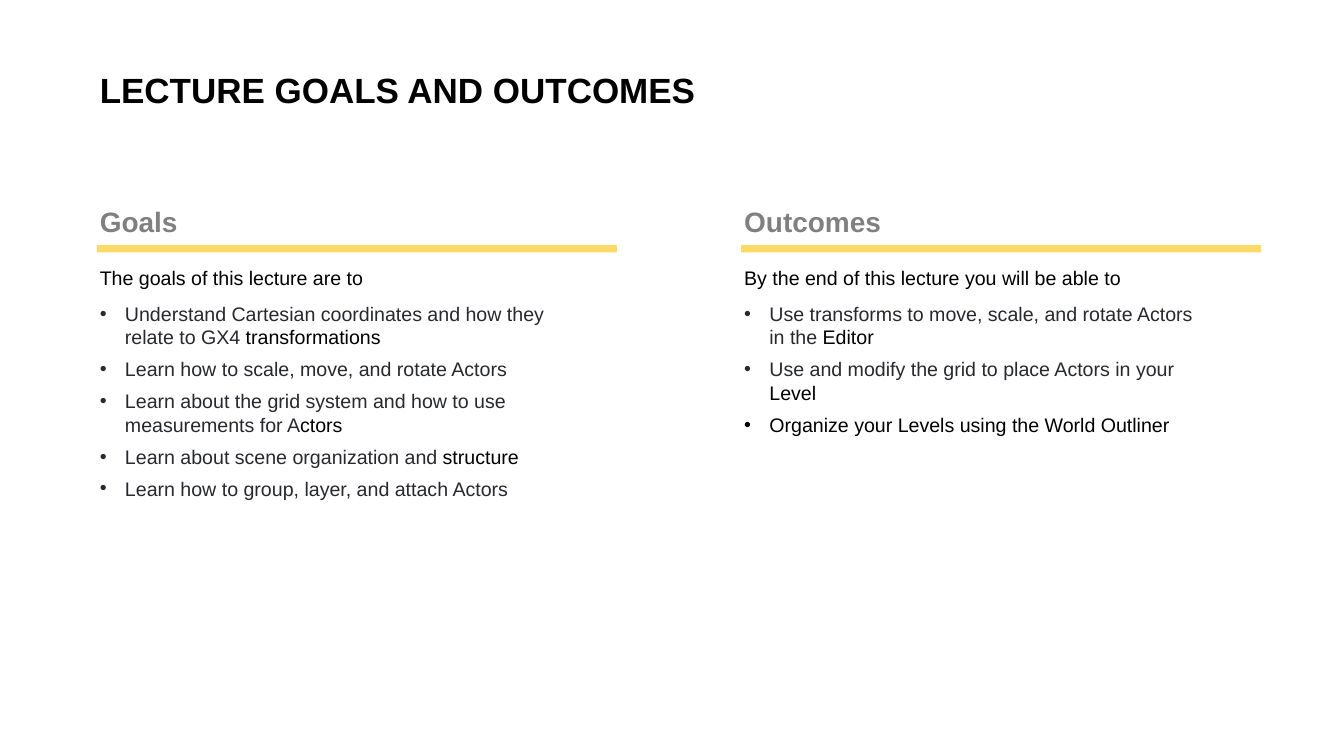
from lxml import etree
from pptx import Presentation
from pptx.dml.color import RGBColor
from pptx.enum.shapes import MSO_SHAPE
from pptx.enum.text import MSO_ANCHOR, MSO_AUTO_SIZE, PP_ALIGN
from pptx.oxml.ns import qn
from pptx.util import Cm, Pt

RECT = MSO_SHAPE.RECTANGLE
TOP = MSO_ANCHOR.TOP
LEFT = PP_ALIGN.LEFT
GROW = MSO_AUTO_SIZE.SHAPE_TO_FIT_TEXT
FONT = "Arial"
COLORS = {"black": "000000", "dark": "27292E", "grey": "808080", "gold": "FFD966"}
INDENT = Cm(1.27)

GOALS = [
    ("Understand Cartesian coordinates and how they relate to GX4 ", "transformations"),
    ("Learn how to scale, move, and rotate Actors", ""),
    ("Learn about the grid system and how to use measurements for A", "ctors"),
    ("Learn about scene organization and ", "structure"),
    ("Learn how to group, layer, and attach Actors", ""),
]
OUTCOMES = [
    ("Use transforms to move, scale, and rotate Actors in the ", "Editor"),
    ("Use and modify the grid to place Actors in your ", "Level"),
    ("", "Organize your Levels using the World Outliner"),
]


def color(name):
    """Return the named colour."""
    return RGBColor.from_string(COLORS[name])


def place(shape, left, top, width, height):
    """Put a shape at a box given in centimetres."""
    shape.left, shape.top = Cm(left), Cm(top)
    shape.width, shape.height = Cm(width), Cm(height)


def frame(shape, wrap=False):
    """Set margins and fit, and return the text frame."""
    body = shape.text_frame
    body.margin_left = body.margin_right = Cm(0.15)
    body.margin_top = body.margin_bottom = Cm(0.15)
    body.vertical_anchor = TOP
    body.word_wrap = wrap
    body.auto_size = GROW
    return body


def write(para, *runs, size=28, bold=False, before=0, after=0, bullet=False):
    """Fill a paragraph with (text, colour) runs in one format."""
    para.alignment = LEFT
    para.space_before, para.space_after = Pt(before), Pt(after)
    if bullet:
        props = para._p.get_or_add_pPr()
        props.set("marL", str(INDENT))
        props.set("indent", str(-INDENT))
        etree.SubElement(props, qn("a:buFont")).set("typeface", FONT)
        etree.SubElement(props, qn("a:buChar")).set("char", "•")
    for text, tint in runs:
        if text:
            run = para.add_run()
            run.text = text
            font = run.font
            font.name, font.size, font.bold = FONT, Pt(size), bold
            font.color.rgb = color(tint)


def label(slide, text, left, top, width, height):
    """Add the heading of a column."""
    box = slide.shapes.add_textbox(Cm(left), Cm(top), Cm(width), Cm(height))
    write(frame(box).paragraphs[0], (text, "grey"), size=40, bold=True)


def rule(slide, left, top, width, height):
    """Add the gold bar under a heading."""
    bar = slide.shapes.add_shape(RECT, Cm(left), Cm(top), Cm(width), Cm(height))
    bar.shadow.inherit = False
    bar.fill.solid()
    bar.fill.fore_color.rgb = color("gold")
    bar.line.fill.background()


def points(slide, intro, items, left, top, width, height):
    """Add the lead line and its bullets."""
    box = slide.shapes.add_textbox(Cm(left), Cm(top), Cm(width), Cm(height))
    body = frame(box, wrap=True)
    write(body.paragraphs[0], (intro, "black"), after=12)
    for dark, black in items:
        write(body.add_paragraph(), (dark, "dark"), (black, "black"),
              before=6, after=6, bullet=True)


def column(slide, head, intro, items, left, top, span, height):
    """Build one column from its heading, bar and bullets."""
    label(slide, head, left, top, span, 2.01)
    rule(slide, left, top + 2.2, 26.21, 0.36)
    points(slide, intro, items, left, top + 3.07, 23.65, height)


def header(slide, text, left, top, width, height):
    """Fill and place the title."""
    title = slide.shapes.title
    place(title, left, top, width, height)
    write(frame(title).paragraphs[0], (text, "black"), size=50, bold=True)


def main():
    """Build the slide and save it."""
    deck = Presentation()
    deck.slide_width, deck.slide_height = Cm(67.74), Cm(38.1)
    slide = deck.slides.add_slide(deck.slide_layouts[5])
    left, top, pitch = 4.88, 10.16, 32.48
    header(slide, "LECTURE GOALS AND OUTCOMES", left, 3.3, 30.66, 2.41)
    columns = [
        ("Goals", "The goals of this lecture are to", GOALS, 4.24, 13.84),
        ("Outcomes", "By the end of this lecture you will be able to",
         OUTCOMES, 7.26, 8.97),
    ]
    for i, (head, intro, items, span, height) in enumerate(columns):
        column(slide, head, intro, items, left + i * pitch, top, span, height)
    deck.save("out.pptx")


if __name__ == "__main__":
    main()
